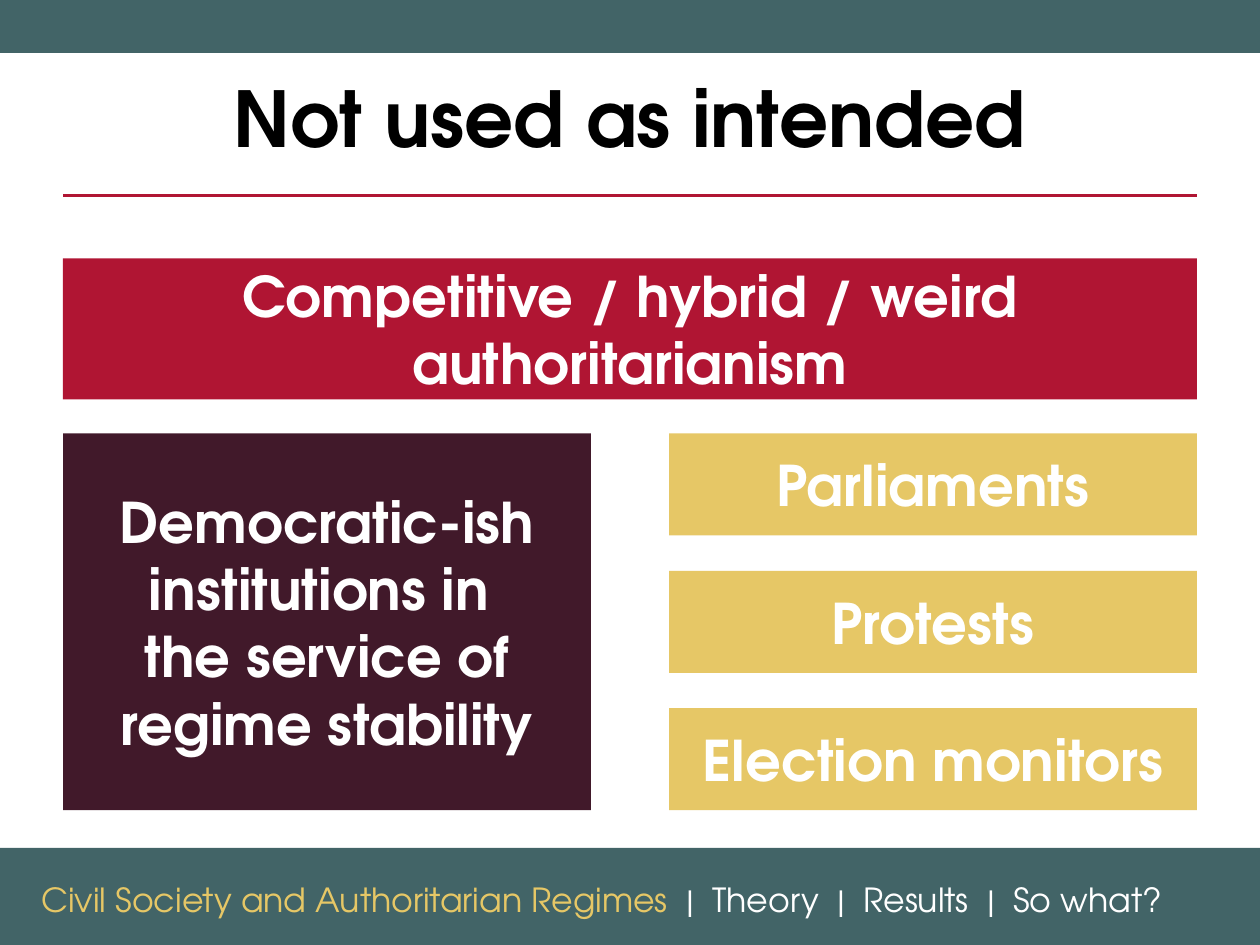
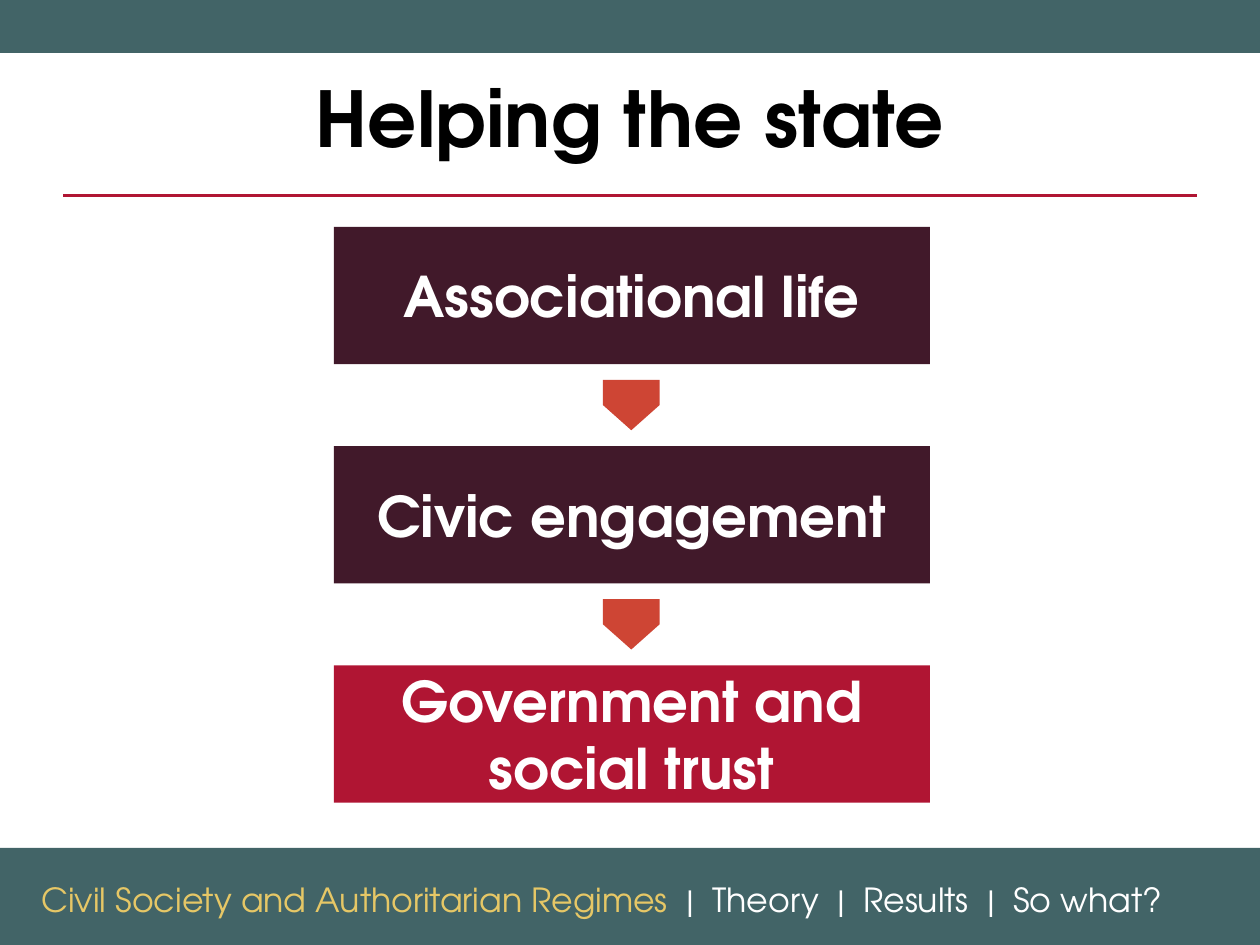
from lxml import etree
from pptx import Presentation
from pptx.dml.color import RGBColor
from pptx.enum.shapes import MSO_CONNECTOR, MSO_SHAPE
from pptx.enum.text import MSO_ANCHOR, PP_ALIGN
from pptx.oxml.ns import qn
from pptx.util import Inches, Pt

RECTANGLE = MSO_SHAPE.RECTANGLE
PENTAGON = MSO_SHAPE.PENTAGON
STRAIGHT = MSO_CONNECTOR.STRAIGHT
MIDDLE = MSO_ANCHOR.MIDDLE
LEFT, CENTER = PP_ALIGN.LEFT, PP_ALIGN.CENTER

TEAL = RGBColor(0x42, 0x64, 0x67)
RED = RGBColor(0xB0, 0x15, 0x33)
PLUM = RGBColor(0x41, 0x19, 0x2A)
GOLD = RGBColor(0xE6, 0xC7, 0x66)
ORANGE = RGBColor(0xCE, 0x45, 0x34)
WHITE = RGBColor(0xFF, 0xFF, 0xFF)
BLACK = RGBColor(0x00, 0x00, 0x00)

FONT = "TeX Gyre Adventor"
MARGIN = 0.5
CONTENT_WIDTH = 9


def write(text_frame, text, size=32, color=WHITE, bold=True, align=CENTER):
    """Append formatted text to the first paragraph; newlines become line breaks."""
    text_frame.word_wrap = True
    paragraph = text_frame.paragraphs[0]
    paragraph.alignment = align
    for index, line in enumerate(text.split("\n")):
        if index:
            paragraph.add_line_break()
        run = paragraph.add_run()
        run.text = line
        run.font.name = FONT
        run.font.size = Pt(size)
        run.font.bold = bold
        run.font.color.rgb = color


def add_block(slide, left, top, width, height, fill, text="", kind=RECTANGLE):
    shape = slide.shapes.add_shape(
        kind, Inches(left), Inches(top), Inches(width), Inches(height))
    shape.shadow.inherit = False
    shape.fill.solid()
    shape.fill.fore_color.rgb = fill
    shape.line.fill.background()
    if text:
        shape.text_frame.vertical_anchor = MIDDLE
        write(shape.text_frame, text)
    return shape


presentation = Presentation()
presentation.slide_width = Inches(10)
presentation.slide_height = Inches(7.5)

# Shared layout: title position, bands and rule
layout = presentation.slide_layouts.get_by_name("Title Only")
for placeholder in list(layout.placeholders):
    if placeholder.placeholder_format.idx == 0:
        placeholder.left, placeholder.top = Inches(MARGIN), Inches(0.3)
        placeholder.width, placeholder.height = Inches(CONTENT_WIDTH), Inches(1.25)
    else:
        placeholder.element.getparent().remove(placeholder.element)

intended_slide = presentation.slides.add_slide(layout)
state_slide = presentation.slides.add_slide(layout)

bottom_band = add_block(intended_slide, 0, 6.73, 10, 0.77, TEAL)
top_band = add_block(intended_slide, 0, 0, 10, 0.42, TEAL)
title_rule = intended_slide.shapes.add_connector(
    STRAIGHT, Inches(MARGIN), Inches(1.55),
    Inches(MARGIN + CONTENT_WIDTH), Inches(1.55))
title_rule.line.color.rgb = RED
title_rule.line.width = Pt(2)
etree.SubElement(title_rule.element.spPr, qn("a:effectLst"))
for shared_shape in (bottom_band, top_band, title_rule):
    layout.shapes.element.append(shared_shape.element)

# Titles and footers
titles = ((intended_slide, "Not used as intended"), (state_slide, "Helping the state"))
for slide, title in titles:
    title_frame = slide.shapes.title.text_frame
    title_frame.vertical_anchor = MIDDLE
    write(title_frame, title, size=44, color=BLACK)

    footer = slide.shapes.add_textbox(
        Inches(0.23), Inches(6.93), Inches(9.56), Inches(0.42))
    for text, color in (("Civil Society and Authoritarian Regimes  ", GOLD),
                        ("|  Theory  |  Results  |  So what?", WHITE)):
        write(footer.text_frame, text, size=19, color=color, bold=False, align=LEFT)

# Slide 1: regime type above, purpose on the left, institutions on the right
COLUMN_WIDTH = 4.19
COLUMN_TOP = 3.44
INSTITUTION_HEIGHT = 0.81
INSTITUTION_STEP = 1.09
institutions = ("Parliaments", "Protests", "Election monitors")

add_block(intended_slide, MARGIN, 2.05, CONTENT_WIDTH, 1.12, RED,
          "Competitive / hybrid / weird authoritarianism")
for row, institution in enumerate(institutions):
    add_block(intended_slide, MARGIN + CONTENT_WIDTH - COLUMN_WIDTH,
              COLUMN_TOP + row * INSTITUTION_STEP,
              COLUMN_WIDTH, INSTITUTION_HEIGHT, GOLD, institution)
column_height = (len(institutions) - 1) * INSTITUTION_STEP + INSTITUTION_HEIGHT
add_block(intended_slide, MARGIN, COLUMN_TOP, COLUMN_WIDTH, column_height, PLUM,
          "Democratic-ish institutions in \nthe service of regime stability")

# Slide 2: chain of stages with arrows in the gaps
STAGE_TOP = 1.8
STAGE_STEP = 1.74
stages = (("Associational life", PLUM), ("Civic engagement", PLUM),
          ("Government and social trust", RED))
for row, (stage, fill) in enumerate(stages):
    top = STAGE_TOP + row * STAGE_STEP
    add_block(state_slide, 2.65, top, 4.73, 1.09, fill, stage)
    if row < len(stages) - 1:
        arrow = add_block(state_slide, 4.81, top + 1.19, 0.4, 0.45, ORANGE,
                          kind=PENTAGON)
        arrow.rotation = 90

presentation.save("out.pptx")
